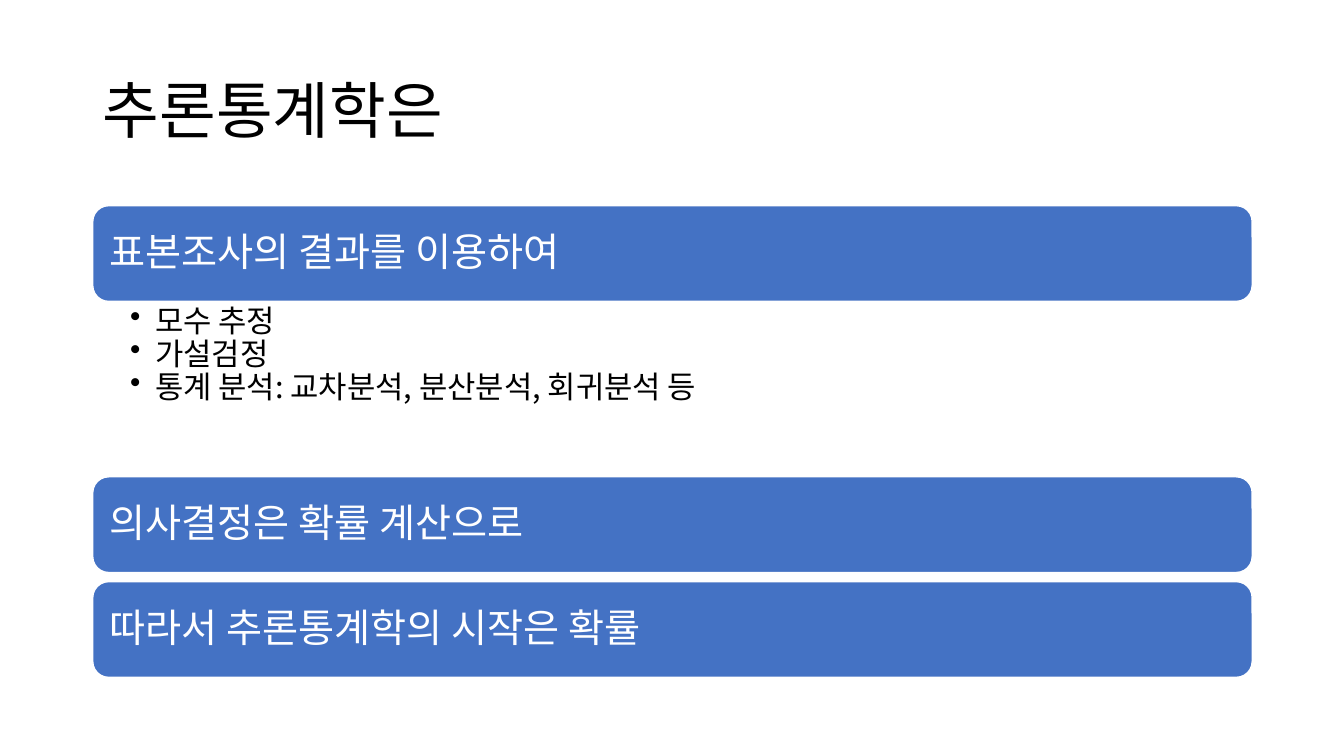
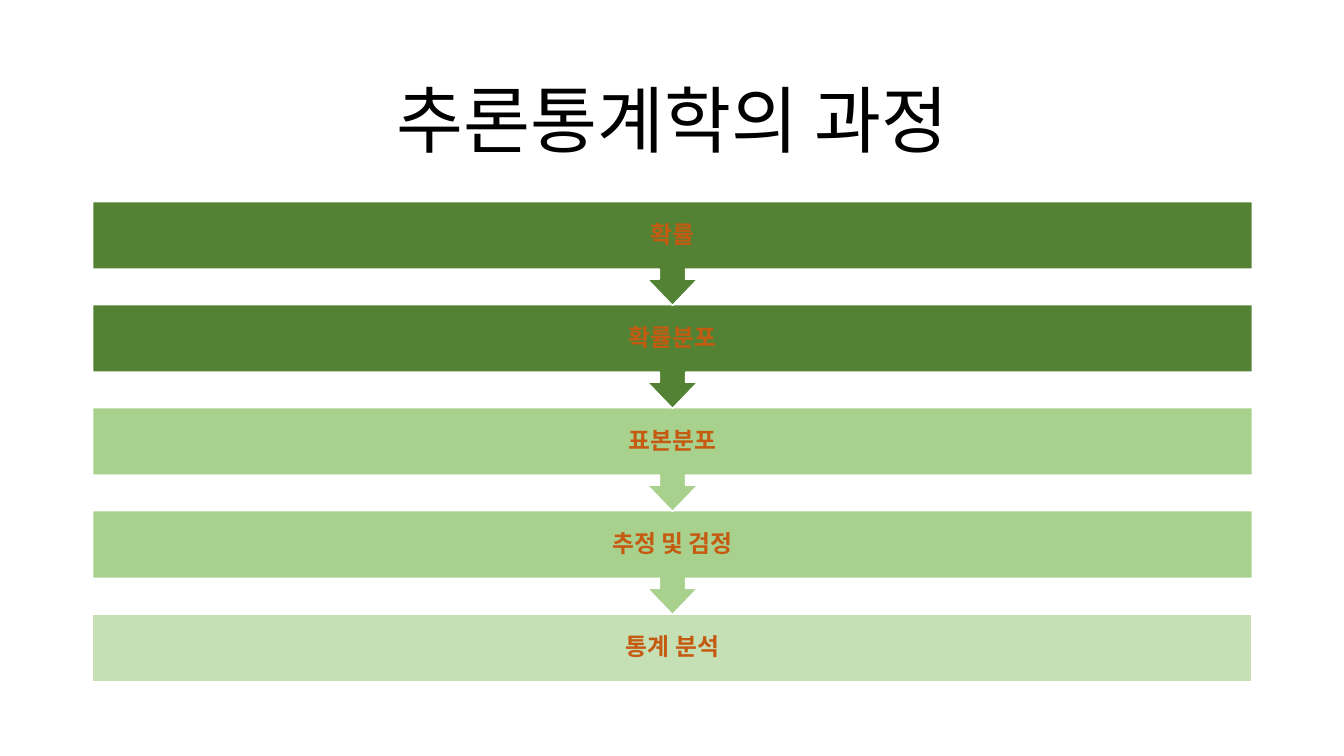
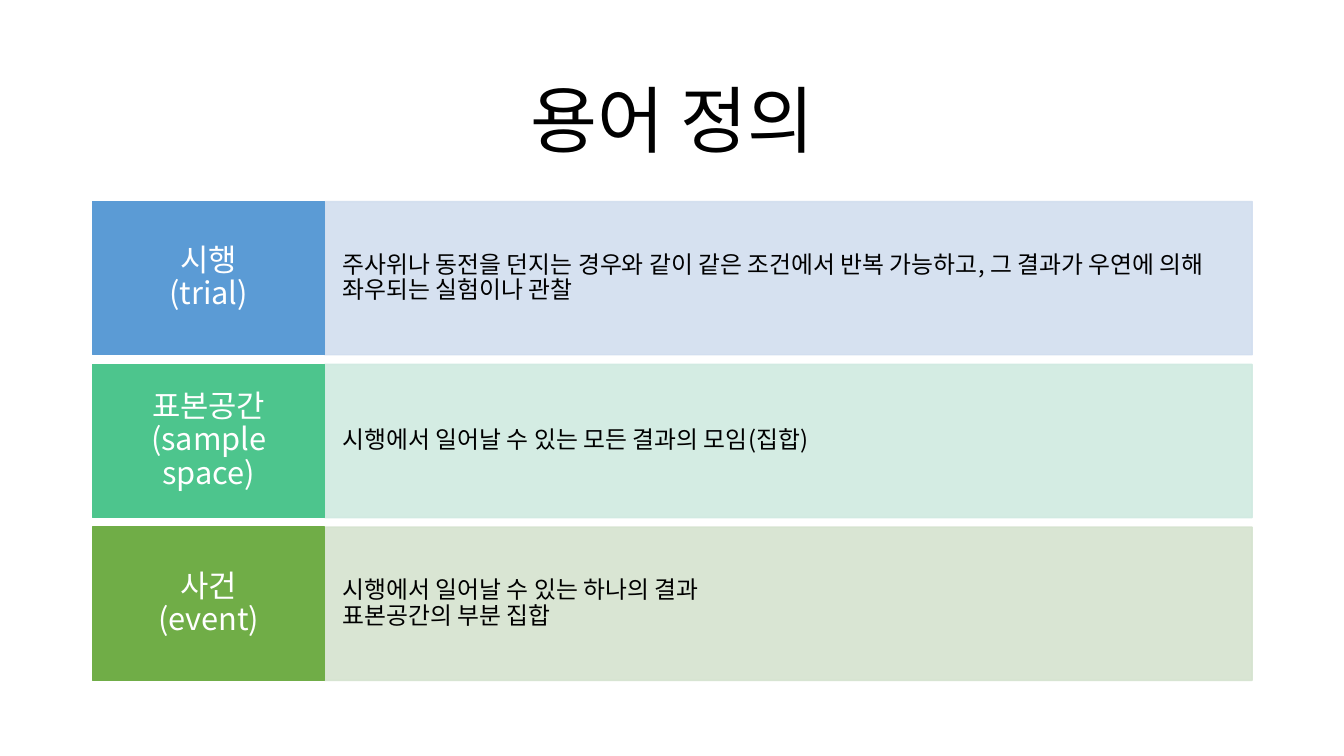
from lxml import etree
from pptx import Presentation
from pptx import util as u
from pptx.dml.color import RGBColor
from pptx.enum import shapes, text
from pptx.oxml import ns

# Shared style
FONT = "Noto Sans CJK KR"
BLACK, WHITE, BLUE, ORANGE = "000000", "FFFFFF", "4472C4", "C55A11"
LEFT, WIDTH = 0.92, 11.5
RIGHT = LEFT + WIDTH
CENTER = LEFT + WIDTH / 2
ALIGN = text.PP_ALIGN


def rgb(color):
    return RGBColor.from_string(color)


def child(parent, tag, **attributes):
    return etree.SubElement(parent, ns.qn(tag), attributes)


def write(shape, lines, size, color, insets, align=ALIGN.LEFT,
          anchor=text.MSO_ANCHOR.MIDDLE, bold=False, bullets=False):
    """Fill a shape with equally styled paragraphs; insets run left, top, right, bottom."""
    frame = shape.text_frame
    frame.word_wrap = True
    frame.vertical_anchor = anchor
    (frame.margin_left, frame.margin_top,
     frame.margin_right, frame.margin_bottom) = map(u.Inches, insets)
    for i, line in enumerate(lines):
        paragraph = frame.add_paragraph() if i else frame.paragraphs[0]
        paragraph.text = line
        paragraph.alignment = align
        paragraph.line_spacing = 0.9
        if bullets:
            properties = paragraph._p.get_or_add_pPr()
            properties.set("marL", str(u.Inches(0.25)))
            properties.set("indent", str(u.Inches(-0.25)))
            child(properties, "a:buChar", char="•")
        font = paragraph.font
        font.size = u.Pt(size)
        font.bold = bold
        font.color.rgb = rgb(color)
        font.name = FONT
        child(font._element, "a:ea", typeface=FONT)


def paint(shape, fill, line, opacity=100):
    shape.shadow.inherit = False
    shape.fill.solid()
    shape.fill.fore_color.rgb = rgb(fill)
    shape.line.color.rgb = rgb(line)
    shape.line.width = u.Pt(1)
    if opacity < 100:
        for color in shape._element.spPr.iter(ns.qn("a:srgbClr")):
            child(color, "a:alpha", val=str(opacity * 1000))


def add_text(slide, box, lines, size, color, insets, **style):
    write(slide.shapes.add_textbox(*map(u.Inches, box)), lines, size, color, insets, **style)


def add_box(slide, box, fill, line, opacity=100, kind=shapes.MSO_SHAPE.RECTANGLE):
    shape = slide.shapes.add_shape(kind, *map(u.Inches, box))
    paint(shape, fill, line, opacity)
    return shape


def add_slide(deck, title, top=0.61, height=1.24, size=52, align=ALIGN.CENTER):
    slide = deck.slides.add_slide(deck.slide_layouts[6])
    add_text(slide, (LEFT, top, WIDTH, height), [title], size, BLACK,
             (0.1, 0.05, 0.1, 0.05), align=align)
    return slide


def add_arrow_band(slide, top, band_height, height, fill):
    """A full-width band whose lower edge grows into a down arrow."""
    base, shoulder, tip = top + band_height, top + band_height + 0.1, top + height
    stem, head = 0.13, 0.25
    outline = [
        (RIGHT, base), (CENTER + stem, base), (CENTER + stem, shoulder),
        (CENTER + head, shoulder), (CENTER, tip), (CENTER - head, shoulder),
        (CENTER - stem, shoulder), (CENTER - stem, base), (LEFT, base),
        (LEFT, top), (RIGHT, top),
    ]
    points = [(u.Inches(x), u.Inches(y)) for x, y in outline]
    builder = slide.shapes.build_freeform(*points[0])
    builder.add_line_segments(points[1:], close=True)
    band = builder.convert_to_shape()
    paint(band, fill, WHITE)
    return band


def build_inference(deck):
    slide = add_slide(deck, "추론통계학은", 0.4, 1.45, 44, ALIGN.LEFT)
    sections = [
        ("표본조사의 결과를 이용하여",
         ["모수 추정", "가설검정", "통계 분석: 교차분석, 분산분석, 회귀분석 등"]),
        ("의사결정은 확률 계산으로", []),
        ("따라서 추론통계학의 시작은 확률", []),
    ]
    top, bar_height, list_height, gap = 2.04, 0.95, 1.74, 0.09
    for heading, items in sections:
        bar = add_box(slide, (LEFT, top, WIDTH, bar_height), BLUE, WHITE,
                      kind=shapes.MSO_SHAPE.ROUNDED_RECTANGLE)
        write(bar, [heading], 28, WHITE, [0.12] * 4)
        top += bar_height
        if items:
            add_text(slide, (LEFT, top, WIDTH, list_height), items, 22, BLACK,
                     (0.37, 0.04, 0.22, 0.04), anchor=text.MSO_ANCHOR.TOP, bullets=True)
            top += list_height
        else:
            top += gap


def build_process(deck):
    slide = add_slide(deck, "추론통계학의 과정")
    steps = [("확률", "548235"), ("확률분포", "548235"), ("표본분포", "A9D18E"),
             ("추정 및 검정", "A9D18E"), ("통계 분석", "C5E0B4")]
    first, last, band_height, arrow_height = 2, 6.09, 0.67, 1.03
    pitch = (last - first) / (len(steps) - 1)
    # Bottom step first, so that each arrow tip lies over the next band
    for i, (step, fill) in reversed(list(enumerate(steps))):
        top = first + i * pitch
        if i == len(steps) - 1:
            band = add_box(slide, (LEFT, top, WIDTH, band_height), fill, WHITE)
            bottom_inset = 0.13
        else:
            band = add_arrow_band(slide, top, band_height, arrow_height, fill)
            bottom_inset = 0.49
        write(band, [step], 17, ORANGE, (0.13, 0.13, 0.13, bottom_inset),
              align=ALIGN.CENTER, bold=True)


def build_terms(deck):
    slide = add_slide(deck, "용어 정의")
    terms = [
        ("시행\v(trial)", "5B9BD5", "D2DEEF",
         "주사위나 동전을 던지는 경우와 같이 같은 조건에서 반복 가능하고, "
         "그 결과가 우연에 의해 좌우되는 실험이나 관찰"),
        ("표본공간\v(sample space)", "4DC58D", "D0EAE1",
         "시행에서 일어날 수 있는 모든 결과의 모임(집합)"),
        ("사건\v(event)", "70AD47", "D5E3CF",
         "시행에서 일어날 수 있는 하나의 결과\v표본공간의 부분 집합"),
    ]
    first, last, height, term_width = 2, 5.23, 1.52, 2.3
    pitch = (last - first) / (len(terms) - 1)
    for i, (term, strong, pale, meaning) in enumerate(terms):
        top = first + i * pitch
        definition = add_box(slide, (LEFT + term_width, top, WIDTH - term_width, height),
                             pale, pale, opacity=90)
        write(definition, [meaning], 17, BLACK, (0.18, 0.39, 0.18, 0.39))
        label = add_box(slide, (LEFT, top, term_width, height), strong, strong)
        write(label, [term], 22, WHITE, (0.12, 0.15, 0.12, 0.15), align=ALIGN.CENTER)


def main():
    deck = Presentation()
    deck.slide_width, deck.slide_height = u.Inches(13.33), u.Inches(7.5)
    build_inference(deck)
    build_process(deck)
    build_terms(deck)
    deck.save("out.pptx")


if __name__ == "__main__":
    main()
